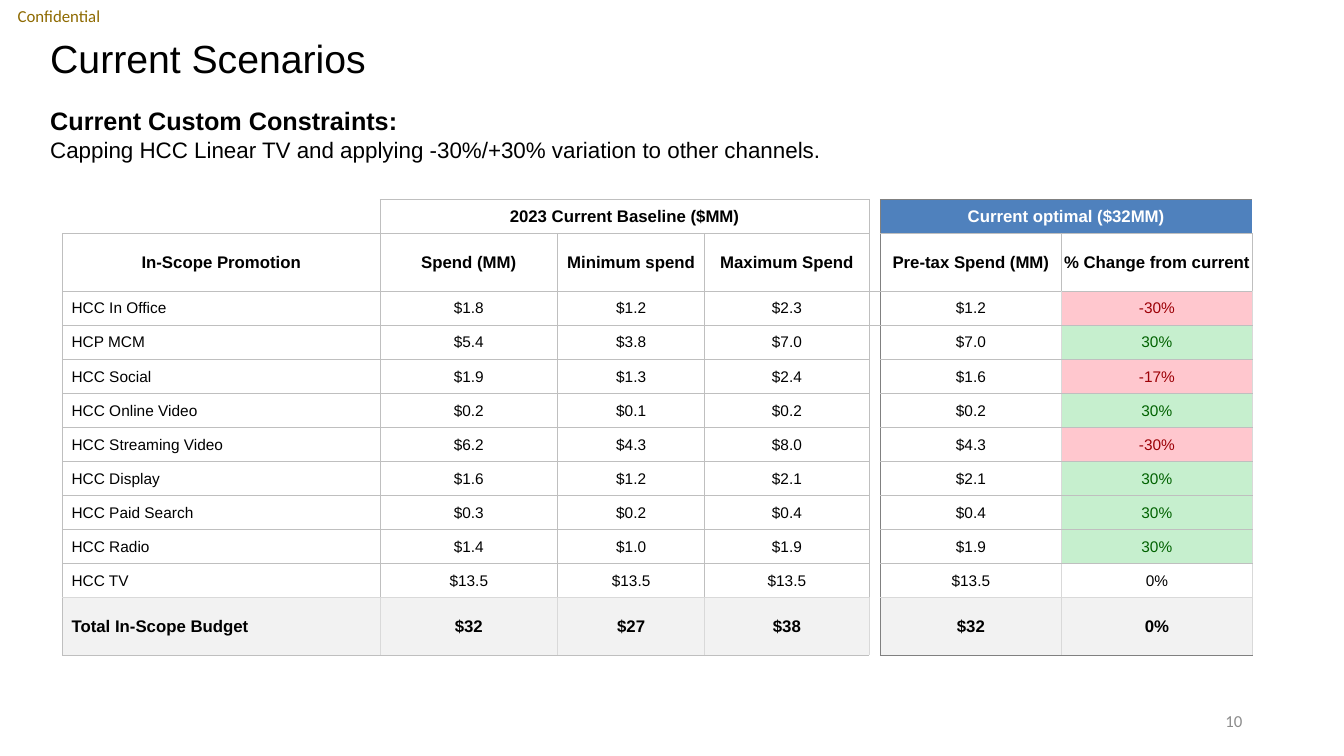
from dataclasses import dataclass

from lxml import etree
from pptx import Presentation
from pptx.dml.color import RGBColor
from pptx.enum.text import MSO_ANCHOR, PP_ALIGN
from pptx.oxml.ns import qn
from pptx.util import Inches, Pt

LEFT, CENTER, RIGHT = PP_ALIGN.LEFT, PP_ALIGN.CENTER, PP_ALIGN.RIGHT
TOP, MIDDLE = MSO_ANCHOR.TOP, MSO_ANCHOR.MIDDLE
PLAIN_TABLE_STYLE = "{2D5ABB26-0587-4C30-8999-92F81FD0307C}"

COLUMN_WIDTHS = [3.15, 1.76, 1.46, 1.63, 0.11, 1.8, 1.89]
TABLE_HEIGHT, TALL_ROW = 4.52, 0.57
GAP, OPTIMAL, CHANGE = 4, 5, 6
GROUPS, HEADER, FIRST_CHANNEL = 0, 1, 2
BUDGET = [
    ["", "2023 Current Baseline ($MM)", "", "", "", "Current optimal ($32MM)", ""],
    ["In-Scope Promotion", "Spend (MM)", "Minimum spend", "Maximum Spend", "",
     "Pre-tax Spend (MM)", "% Change from current"],
    ["HCC In Office", "$1.8", "$1.2", "$2.3", "", "$1.2", "-30%"],
    ["HCP MCM", "$5.4", "$3.8", "$7.0", "", "$7.0", "30%"],
    ["HCC Social", "$1.9", "$1.3", "$2.4", "", "$1.6", "-17%"],
    ["HCC Online Video", "$0.2", "$0.1", "$0.2", "", "$0.2", "30%"],
    ["HCC Streaming Video", "$6.2", "$4.3", "$8.0", "", "$4.3", "-30%"],
    ["HCC Display", "$1.6", "$1.2", "$2.1", "", "$2.1", "30%"],
    ["HCC Paid Search", "$0.3", "$0.2", "$0.4", "", "$0.4", "30%"],
    ["HCC Radio", "$1.4", "$1.0", "$1.9", "", "$1.9", "30%"],
    ["HCC TV", "$13.5", "$13.5", "$13.5", "", "$13.5", "0%"],
    ["Total In-Scope Budget", "$32", "$27", "$38", "", "$32", "0%"],
]
TOTAL = len(BUDGET) - 1


@dataclass(frozen=True)
class Theme:
    """Colours, fonts and type sizes of the slide."""
    text: str = "000000"
    inverse: str = "FFFFFF"
    marking: str = "8E6A00"
    page: str = "8C8C8C"
    optimal_fill: str = "4F81BD"
    total_fill: str = "F2F2F2"
    loss: str = "9C0006"
    loss_fill: str = "FFC7CE"
    gain: str = "006100"
    gain_fill: str = "C6EFCE"
    grid: str = "BFBFBF"
    soft_grid: str = "D9D9D9"
    frame: str = "808080"
    font: str = "Arial"
    small_font: str = "Calibri"
    title_size: int = 28
    subtitle_size: int = 18
    body_size: int = 16
    label_size: int = 12
    cell_size: int = 11
    border_width: float = 0.5


class ScenarioSlide:
    """Draws text and tables on one slide in one theme."""

    def __init__(self, slide, theme):
        self.slide = slide
        self.theme = theme

    def set_text(self, paragraph, text, size, color=None, bold=False, align=LEFT, font=None):
        """Fill a paragraph and set its look."""
        paragraph.text = text
        paragraph.alignment = align
        paragraph.font.name = font or self.theme.font
        paragraph.font.size = Pt(size)
        paragraph.font.bold = bold
        paragraph.font.color.rgb = RGBColor.from_string(color or self.theme.text)

    def text_box(self, left, top, width, height, anchor=MIDDLE):
        """Add an empty wrapping text box and return its frame."""
        frame = self.slide.shapes.add_textbox(
            Inches(left), Inches(top), Inches(width), Inches(height)).text_frame
        frame.word_wrap = True
        frame.vertical_anchor = anchor
        return frame

    def edges(self, row, column):
        """Return the border colours of a table cell by side."""
        theme = self.theme
        if column == GAP:
            sides = {"L": theme.soft_grid if row == TOTAL else theme.grid, "R": theme.frame}
            if row == HEADER:
                sides = {"R": theme.frame, "B": theme.grid}
            elif row == FIRST_CHANNEL:
                sides["T"] = theme.grid
            return sides
        if (row, column) == (GROUPS, 0):
            return {"R": theme.grid, "B": theme.grid}
        sides = dict.fromkeys("LRTB", theme.grid)
        if row == TOTAL:
            sides.update(L=theme.soft_grid, R=theme.soft_grid, T=theme.soft_grid)
        elif row == TOTAL - 1:
            sides["B"] = theme.soft_grid
        if column == 0:
            sides["L"] = theme.grid
        elif column >= OPTIMAL:
            if row >= FIRST_CHANNEL:
                sides.update(L=theme.soft_grid, R=theme.soft_grid)
            if row == TOTAL:
                sides["B"] = theme.frame
            if column == OPTIMAL:
                sides["L"] = theme.frame
            if row == GROUPS:
                sides["T"] = theme.frame
                del sides["R"]
        elif (row, column) == (HEADER, GAP - 1):
            del sides["R"]
        return sides

    def borders(self, cell, sides):
        """Draw the given borders of a cell."""
        properties = cell._tc.get_or_add_tcPr()
        for side in "LRTB":
            if side in sides:
                line = etree.SubElement(properties, qn(f"a:ln{side}"),
                                        w=str(Pt(self.theme.border_width)))
                solid = etree.SubElement(line, qn("a:solidFill"))
                etree.SubElement(solid, qn("a:srgbClr"), val=sides[side])

    def cell_colors(self, row, column, text):
        """Return the text colour and the fill of a cell."""
        theme = self.theme
        if (row, column) == (GROUPS, OPTIMAL):
            return theme.inverse, theme.optimal_fill
        if row == TOTAL and column != GAP:
            return theme.text, theme.total_fill
        if row >= FIRST_CHANNEL and column == CHANGE and text != "0%":
            if text.startswith("-"):
                return theme.loss, theme.loss_fill
            return theme.gain, theme.gain_fill
        return theme.text, None

    def budget_table(self, left, top):
        """Add the table of spend by channel."""
        theme = self.theme
        table = self.slide.shapes.add_table(
            len(BUDGET), len(COLUMN_WIDTHS), Inches(left), Inches(top),
            Inches(sum(COLUMN_WIDTHS)), Inches(TABLE_HEIGHT)).table
        table.first_row = table.horz_banding = False
        table._tbl.tblPr.find(qn("a:tableStyleId")).text = PLAIN_TABLE_STYLE
        for column, width in zip(table.columns, COLUMN_WIDTHS):
            column.width = Inches(width)
        short_row = (TABLE_HEIGHT - 2 * TALL_ROW) / (len(BUDGET) - 2)
        for number, row in enumerate(table.rows):
            row.height = Inches(TALL_ROW if number in (HEADER, TOTAL) else short_row)
        table.cell(GROUPS, 1).merge(table.cell(GROUPS, GAP - 1))
        table.cell(GROUPS, OPTIMAL).merge(table.cell(GROUPS, CHANGE))
        for row, values in enumerate(BUDGET):
            strong = row in (GROUPS, HEADER, TOTAL)
            for column, value in enumerate(values):
                cell = table.cell(row, column)
                if cell.is_spanned:
                    continue
                is_channel = column == 0 and row >= FIRST_CHANNEL
                cell.margin_left = Inches(0.09 if is_channel else 0.01)
                cell.margin_right = cell.margin_top = Inches(0.01)
                cell.margin_bottom = 0
                cell.vertical_anchor = MIDDLE
                self.borders(cell, self.edges(row, column))
                color, fill = self.cell_colors(row, column, value)
                if fill:
                    cell.fill.solid()
                    cell.fill.fore_color.rgb = RGBColor.from_string(fill)
                else:
                    cell.fill.background()
                self.set_text(cell.text_frame.paragraphs[0], value,
                              theme.label_size if strong else theme.cell_size,
                              color, strong, LEFT if is_channel else CENTER)


def main():
    """Build the slide and save it."""
    deck = Presentation()
    deck.slide_width, deck.slide_height = Inches(13.33), Inches(7.5)
    theme = Theme()
    page = ScenarioSlide(deck.slides.add_slide(deck.slide_layouts[6]), theme)

    marking = page.text_box(0, 0, 1.17, 0.32)
    marking.margin_left = marking.margin_right = marking.margin_top = marking.margin_bottom = 0
    page.set_text(marking.paragraphs[0], "Confidential", theme.label_size, theme.marking,
                  align=CENTER, font=theme.small_font)

    title = page.text_box(0.4, 0.4, 12, 0.4).paragraphs[0]
    page.set_text(title, "Current Scenarios", theme.title_size)
    title.line_spacing = 0.9

    page_number = page.text_box(9.42, 6.95, 3, 0.4).paragraphs[0]
    page.set_text(page_number, "10", theme.label_size, theme.page,
                  align=RIGHT, font=theme.small_font)

    constraints = page.text_box(0.4, 1, 12, 0.67, TOP)
    page.set_text(constraints.paragraphs[0], "Current Custom Constraints:",
                  theme.subtitle_size, bold=True)
    page.set_text(constraints.add_paragraph(),
                  "Capping HCC Linear TV and applying -30%/+30% variation to other channels.",
                  theme.body_size)

    page.budget_table(0.62, 1.98)
    deck.save("out.pptx")


if __name__ == "__main__":
    main()
